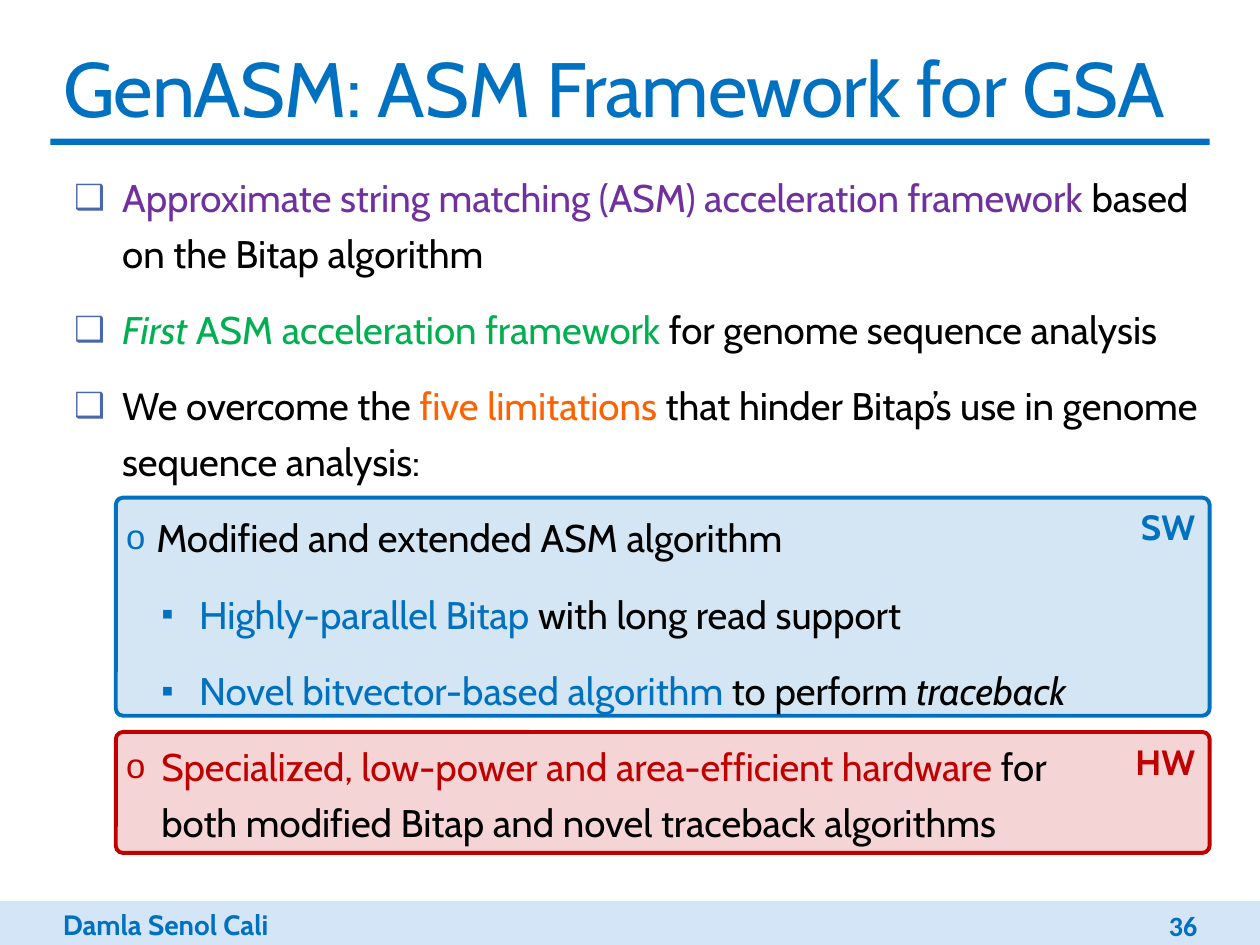
from dataclasses import dataclass

import lxml.etree
import pptx
import pptx.dml.color
import pptx.enum.shapes
import pptx.enum.text
import pptx.oxml.ns
import pptx.util

Pt = pptx.util.Pt
Color = pptx.dml.color.RGBColor
Align = pptx.enum.text.PP_ALIGN
Anchor = pptx.enum.text.MSO_ANCHOR
Shape = pptx.enum.shapes.MSO_SHAPE
qn = pptx.oxml.ns.qn

BLUE = Color(0x00, 0x70, 0xC0)
PALE_BLUE = Color(0xD4, 0xE5, 0xF7)
BULLET_BLUE = Color(0x4A, 0x66, 0xAC)
RED = Color(0xC0, 0x00, 0x00)
PURPLE = Color(0x70, 0x30, 0xA0)
GREEN = Color(0x00, 0xB0, 0x50)
ORANGE = Color(0xFE, 0x62, 0x00)
BLACK = Color(0x00, 0x00, 0x00)

FONT = "Cabin"
MARGIN = 28.8
CONTENT_WIDTH = 662.4
PANEL_LEFT = 66.2
CORNER = 4.1


@dataclass(frozen=True)
class Span:
    text: str
    color: Color = BLACK
    italic: bool = False
    bold: bool = False
    size: float = 22
    font: str = FONT


@dataclass(frozen=True)
class Bullet:
    """Mark, its colour, outline level, text indent and hanging distance."""
    mark: str
    color: Color
    level: int
    indent: float
    hanging: float


@dataclass(frozen=True)
class Item:
    bullet: Bullet
    spans: tuple[Span, ...]


@dataclass(frozen=True)
class Panel:
    label: str
    color: Color
    top: float
    height: float


MAIN = Bullet("❑", BULLET_BLUE, 0, 41, 27.4)
SOFTWARE = Bullet("o", BLUE, 1, 60.5, 17.3)
DETAIL = Bullet("▪", BLUE, 2, 85, 21.6)
HARDWARE = Bullet("o", RED, 1, 63.4, 20.2)

ITEMS = (
    Item(MAIN, (
        Span("Approximate string matching (ASM) acceleration framework ", PURPLE),
        Span("based on the Bitap algorithm"))),
    Item(MAIN, (
        Span("First", GREEN, italic=True),
        Span(" ASM acceleration framework ", GREEN),
        Span("for genome sequence analysis"))),
    Item(MAIN, (
        Span("We overcome the "),
        Span("five limitations ", ORANGE),
        Span("that hinder Bitap’s use in genome sequence analysis:"))),
    Item(SOFTWARE, (Span("Modified and extended ASM algorithm"),)),
    Item(DETAIL, (
        Span("Highly-parallel Bitap ", BLUE),
        Span("with long read support"))),
    Item(DETAIL, (
        Span("Novel bitvector-based algorithm ", BLUE),
        Span("to perform "),
        Span("traceback", italic=True))),
    Item(HARDWARE, (
        Span("Specialized, low-power and area-efficient hardware ", RED),
        Span("for\nboth modified Bitap and novel traceback algorithms"))),
)

PANELS = (
    Panel("SW", BLUE, 284.4, 124.6),
    Panel("HW", RED, 418.3, 69.1),
)


def add_span(para, span: Span):
    """Add the text as runs, with a line break at each newline."""
    for index, text in enumerate(span.text.split("\n")):
        if index:
            para.add_line_break()
        run = para.add_run()
        run.text = text
        run.font.name = span.font
        run.font.size = Pt(span.size)
        run.font.bold = span.bold
        run.font.italic = span.italic
        run.font.color.rgb = span.color
    return run


def set_bullet(para, bullet: Bullet) -> None:
    para.level = bullet.level
    properties = para._p.get_or_add_pPr()
    properties.set("marL", str(Pt(bullet.indent)))
    properties.set("indent", str(-Pt(bullet.hanging)))
    color = lxml.etree.SubElement(properties, qn("a:buClr"))
    lxml.etree.SubElement(color, qn("a:srgbClr"), val=str(bullet.color))
    lxml.etree.SubElement(properties, qn("a:buSzPct"), val="90000")
    lxml.etree.SubElement(properties, qn("a:buChar"), char=bullet.mark)


def place(shape, left: float, top: float, width: float, height: float) -> None:
    shape.left, shape.top = Pt(left), Pt(top)
    shape.width, shape.height = Pt(width), Pt(height)


def add_bar(page, left: float, top: float, width: float, height: float,
            color: Color) -> None:
    bar = page.shapes.add_shape(
        Shape.RECTANGLE, Pt(left), Pt(top), Pt(width), Pt(height))
    bar.shadow.inherit = False
    bar.fill.solid()
    bar.fill.fore_color.rgb = color
    bar.line.fill.background()


def add_panel(page, panel: Panel) -> None:
    width = MARGIN + CONTENT_WIDTH - PANEL_LEFT
    box = page.shapes.add_shape(
        Shape.ROUNDED_RECTANGLE, Pt(PANEL_LEFT), Pt(panel.top),
        Pt(width), Pt(panel.height))
    box.adjustments[0] = CORNER / panel.height
    box.shadow.inherit = False
    box.fill.solid()
    box.fill.fore_color.rgb = panel.color
    fill_color = box._element.spPr.find(qn("a:solidFill")).find(qn("a:srgbClr"))
    lxml.etree.SubElement(fill_color, qn("a:alpha"), val="17000")
    box.line.color.rgb = panel.color
    box.line.width = Pt(2.25)
    box.text_frame.vertical_anchor = Anchor.TOP
    para = box.text_frame.paragraphs[0]
    para.alignment = Align.RIGHT
    add_span(para, Span(panel.label, panel.color, bold=True, size=20))


def add_footer_text(page, left: float, top: float, width: float, height: float,
                    span: Span, alignment: Align) -> None:
    box = page.shapes.add_textbox(Pt(left), Pt(top), Pt(width), Pt(height))
    frame = box.text_frame
    frame.word_wrap = True
    frame.vertical_anchor = Anchor.MIDDLE
    frame.paragraphs[0].alignment = alignment
    add_span(frame.paragraphs[0], span)


def fill_title(title) -> None:
    place(title, MARGIN, 20.2, CONTENT_WIDTH, 59)
    frame = title.text_frame
    frame.auto_size = pptx.enum.text.MSO_AUTO_SIZE.NONE
    frame.vertical_anchor = Anchor.MIDDLE
    para = frame.paragraphs[0]
    para.alignment = Align.LEFT
    run = add_span(para, Span("GenASM: ASM Framework for GSA", BLUE, size=44))
    run.font._element.set("spc", "-50")


def fill_body(body) -> None:
    place(body, MARGIN, 90.7, CONTENT_WIDTH, 415.4)
    frame = body.text_frame
    frame.auto_size = pptx.enum.text.MSO_AUTO_SIZE.NONE
    frame.margin_left = frame.margin_right = 0
    for index, item in enumerate(ITEMS):
        para = frame.add_paragraph() if index else frame.paragraphs[0]
        set_bullet(para, item.bullet)
        para.line_spacing = 1.2
        para.space_before = Pt(12 if index else 0)
        for span in item.spans:
            add_span(para, span)


def main() -> None:
    deck = pptx.Presentation()
    deck.slide_width, deck.slide_height = Pt(720), Pt(540)
    page = deck.slides.add_slide(deck.slide_layouts[1])
    title, body = page.placeholders

    add_bar(page, 0, 514.8, 720, 25.2, PALE_BLUE)
    add_bar(page, MARGIN, 79.2, CONTENT_WIDTH, 3.6, BLUE)
    for panel in PANELS:
        add_panel(page, panel)
    fill_title(title)
    fill_body(body)
    for placeholder in (title, body):  # text goes in front of the panels
        page.shapes._spTree.append(placeholder._element)

    add_footer_text(page, MARGIN, 514.8, 180, 26.6,
                    Span("Damla Senol Cali", BLUE, bold=True, size=16), Align.LEFT)
    add_footer_text(page, 591.8, 517.7, 99.4, 21.6,
                    Span("36", BLUE, bold=True, size=16, font="Calibri"), Align.RIGHT)
    deck.save("out.pptx")


if __name__ == "__main__":
    main()
